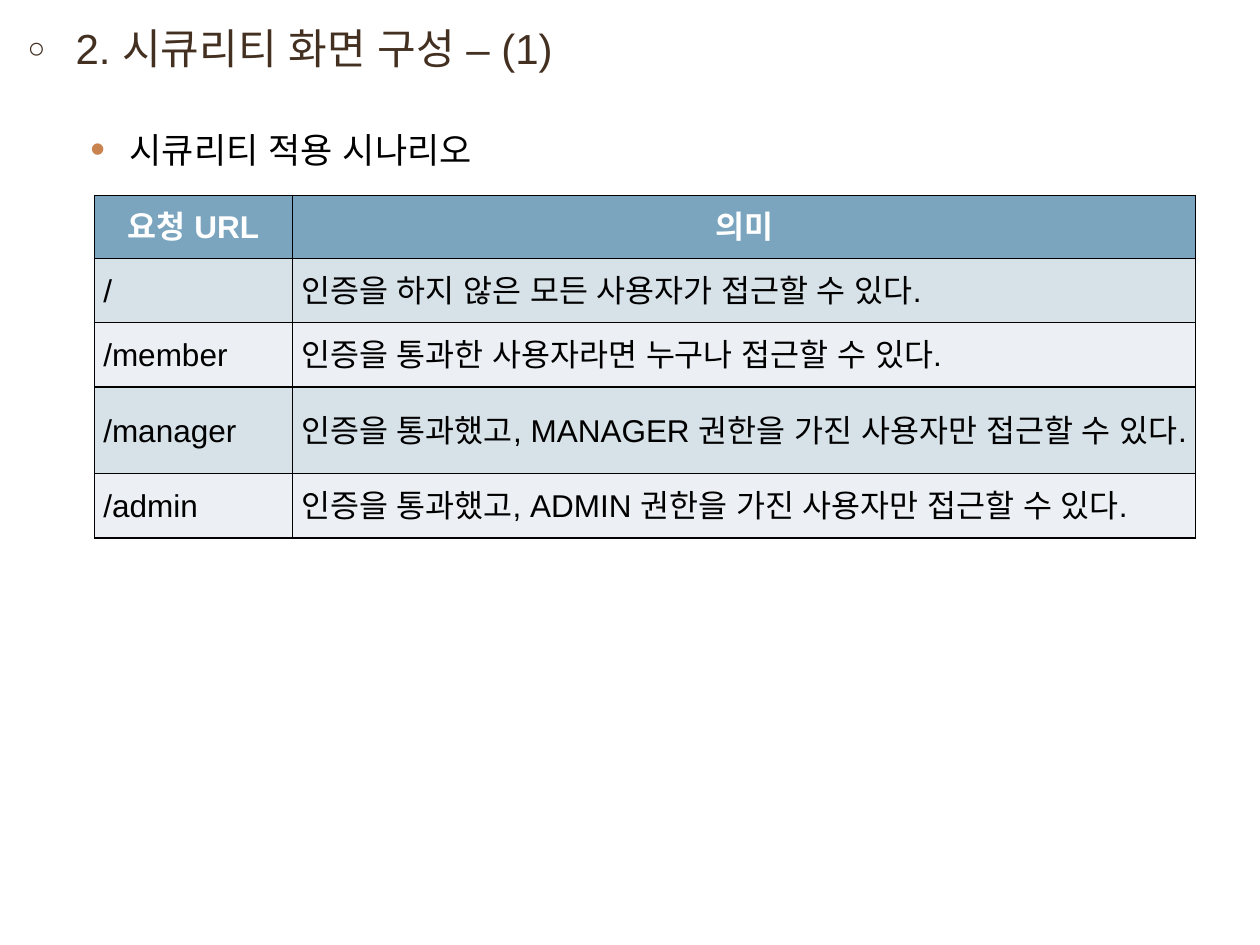
"""Builds the security scenario slide: heading, bullet and table of request URLs."""
from lxml import etree
from pptx import Presentation
from pptx.dml.color import RGBColor
from pptx.enum.lang import MSO_LANGUAGE_ID
from pptx.enum.text import MSO_ANCHOR, MSO_AUTO_SIZE, PP_ALIGN
from pptx.oxml.ns import qn
from pptx.util import Inches, Pt

TOP, MIDDLE = MSO_ANCHOR.TOP, MSO_ANCHOR.MIDDLE
LEFT, CENTER, JUSTIFY = PP_ALIGN.LEFT, PP_ALIGN.CENTER, PP_ALIGN.JUSTIFY
NO_FIT = MSO_AUTO_SIZE.NONE
KOREAN = MSO_LANGUAGE_ID.KOREAN

BROWN = RGBColor(0x43, 0x30, 0x21)
ORANGE = RGBColor(0xC9, 0x83, 0x4E)
BLACK = RGBColor(0, 0, 0)
WHITE = RGBColor(255, 255, 255)
HEADER_BLUE = RGBColor(0x7B, 0xA5, 0xBE)
BANDS = [RGBColor(0xD7, 0xE1, 0xE8), RGBColor(0xEC, 0xF0, 0xF4)]

FONT = "Arial"
SLIDE_W, SLIDE_H = 10, 7.5
HEADING = "2. 시큐리티 화면 구성 – (1)"
SCENARIO = "시큐리티 적용 시나리오"
ROWS = [
    ("요청 URL", "의미"),
    ("/", "인증을 하지 않은 모든 사용자가 접근할 수 있다. "),
    ("/member", "인증을 통과한 사용자라면 누구나 접근할 수 있다. "),
    ("/manager", "인증을 통과했고, MANAGER 권한을 가진 사용자만 접근할 수 있다. "),
    ("/admin", "인증을 통과했고, ADMIN 권한을 가진 사용자만 접근할 수 있다."),
]
COL_WIDTHS = [1.57, 7.17]
ROW_HEIGHTS = [0.5, 0.51, 0.51, 0.69, 0.51]
TABLE_LEFT, TABLE_TOP = 0.75, 1.55
TEXT_LEFT, TEXT_W = 0.12, 9.76
HEADING_BULLET = dict(char="○", percent=70, color=BROWN, margin=0.38, hanging=0.38)
SCENARIO_BULLET = dict(char="•", percent=120, color=ORANGE, margin=0.81, hanging=0.31)


def apply(target, **values):
    for name, value in values.items():
        setattr(target, name, value)


def write(p, text, size, color, bold=False):
    p._p.get_or_add_pPr().set("hangingPunct", "0")
    r = p.add_run()
    r.text = text
    apply(r.font, name=FONT, size=Pt(size), bold=bold, language_id=KOREAN)
    r.font.color.rgb = color
    etree.SubElement(r._r.get_or_add_rPr(), qn("a:ea"), typeface=FONT)


def add_bullet(p, char, percent, color, margin, hanging):
    pPr = p._p.get_or_add_pPr()
    pPr.set("marL", str(Inches(margin)))
    pPr.set("indent", str(-Inches(hanging)))
    clr = etree.SubElement(pPr, qn("a:buClr"))
    etree.SubElement(clr, qn("a:srgbClr"), val=str(color))
    etree.SubElement(pPr, qn("a:buSzPct"), val=str(percent * 1000))
    etree.SubElement(pPr, qn("a:buFont"), typeface=FONT)
    etree.SubElement(pPr, qn("a:buChar"), char=char)


def bullet_line(sp, top, text, size, color, bullet):
    apply(sp, left=Inches(TEXT_LEFT), top=Inches(top), width=Inches(TEXT_W), height=Inches(0.5))
    tf = sp.text_frame
    apply(tf, word_wrap=True, auto_size=NO_FIT, vertical_anchor=TOP)
    p = tf.paragraphs[0]
    p.alignment = LEFT
    write(p, text, size, color)
    add_bullet(p, **bullet)


def add_borders(cell):
    tcPr = cell._tc.get_or_add_tcPr()
    for i, side in enumerate(("lnL", "lnR", "lnT", "lnB")):
        ln = etree.Element(qn(f"a:{side}"), w=str(Pt(1)))
        fill = etree.SubElement(ln, qn("a:solidFill"))
        etree.SubElement(fill, qn("a:srgbClr"), val=str(BLACK))
        tcPr.insert(i, ln)


def fill_cell(cell, text, row):
    header = row == 0
    apply(cell, vertical_anchor=MIDDLE, margin_left=Inches(0.07),
          margin_right=Inches(0.07), margin_top=0, margin_bottom=0)
    cell.fill.solid()
    cell.fill.fore_color.rgb = HEADER_BLUE if header else BANDS[(row - 1) % 2]
    p = cell.text_frame.paragraphs[0]
    apply(p, alignment=CENTER if header else JUSTIFY, line_spacing=1.07)
    write(p, text, 18, WHITE if header else BLACK, header)
    add_borders(cell)


def main():
    prs = Presentation()
    apply(prs, slide_width=Inches(SLIDE_W), slide_height=Inches(SLIDE_H))
    s = prs.slides.add_slide(prs.slide_layouts[5])
    bullet_line(s.shapes.title, 0.13, HEADING, 24, BROWN, HEADING_BULLET)
    bullet_line(s.shapes.add_textbox(0, 0, 0, 0), 0.97, SCENARIO, 20, BLACK, SCENARIO_BULLET)
    table = s.shapes.add_table(
        len(ROWS), len(COL_WIDTHS), Inches(TABLE_LEFT), Inches(TABLE_TOP),
        Inches(sum(COL_WIDTHS)), Inches(sum(ROW_HEIGHTS))).table
    for column, width in zip(table.columns, COL_WIDTHS):
        column.width = Inches(width)
    for i, (height, texts) in enumerate(zip(ROW_HEIGHTS, ROWS)):
        table.rows[i].height = Inches(height)
        for j, text in enumerate(texts):
            fill_cell(table.cell(i, j), text, i)
    prs.save("out.pptx")


if __name__ == "__main__":
    main()
